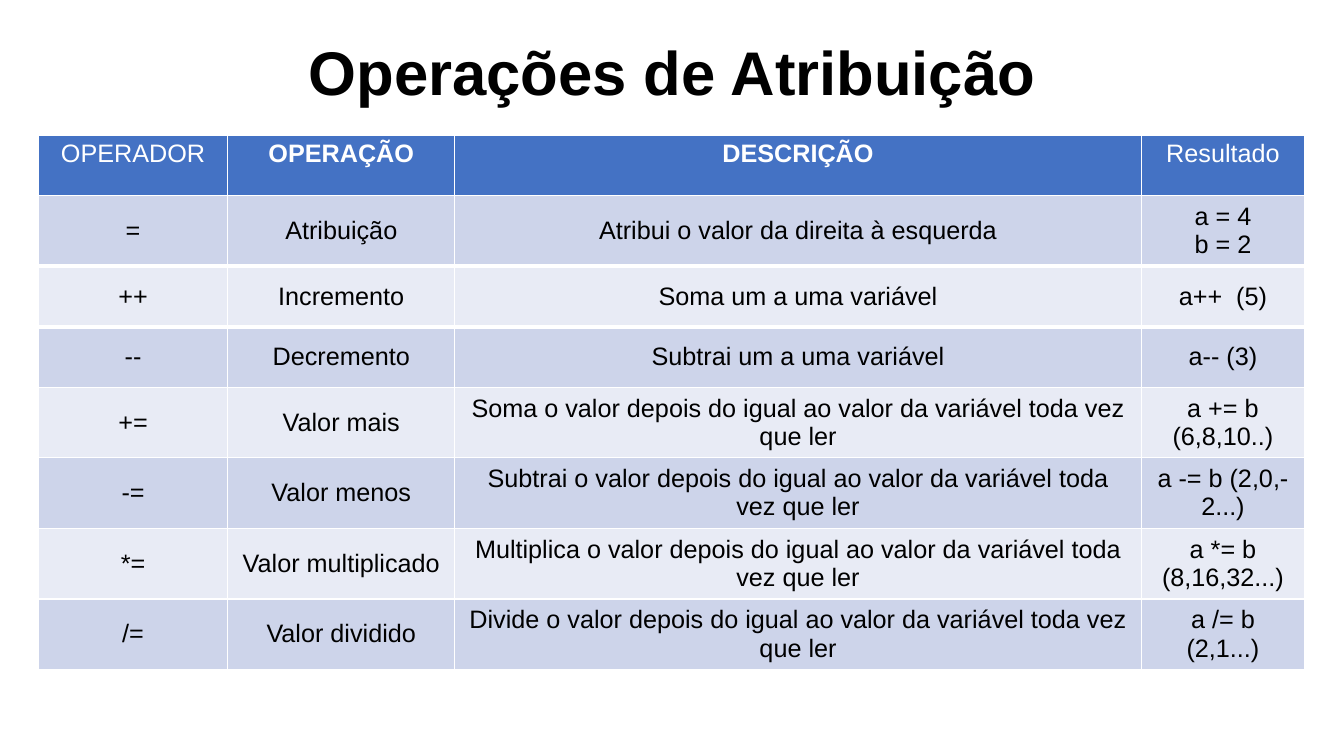
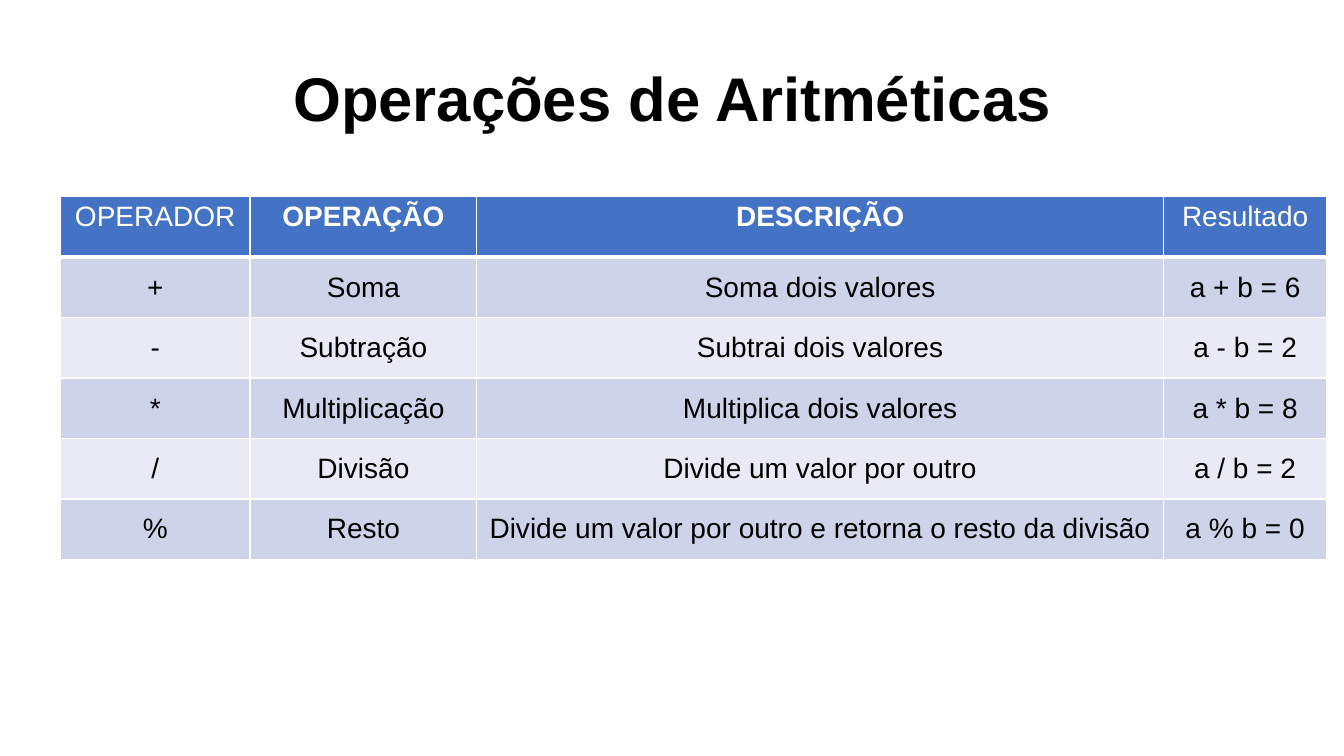
from dataclasses import dataclass

from lxml import etree
from pptx import Presentation
from pptx import util as u
from pptx.dml.color import RGBColor
from pptx.enum import text
from pptx.oxml import ns


@dataclass(frozen=True)
class Theme:
    font: str = "Arial"
    ink: str = "000000"
    white: str = "FFFFFF"
    header: str = "4472C4"
    bands: tuple = ("CDD4EA", "E8EBF5")
    title_size: int = 44
    thin: int = 1
    thick: int = 3


theme = Theme()
PX = u.Inches(1) // 100
COLUMNS = [188, 225, 681, 162]
ROW_HEIGHT = 60
HEADINGS = ["OPERADOR", "OPERAÇÃO", "DESCRIÇÃO", "Resultado"]
BOLD_HEADINGS = HEADINGS[1:3]

pages = [
    {
        "title": "Operações de Atribuição",
        "title_top": 2,
        "table_at": (38, 134),
        "size": 18,
        "thick_below": (1, 2),
        "rows": [
            ("=", "Atribuição", "Atribui o valor da direita à esquerda", "a = 4\nb = 2"),
            ("++", "Incremento", "Soma um a uma variável", "a++  (5)"),
            ("--", "Decremento", "Subtrai um a uma variável", "a-- (3)"),
            ("+=", "Valor mais", "Soma o valor depois do igual ao valor da variável toda vez que ler", "a += b (6,8,10..)"),
            ("-=", "Valor menos", "Subtrai o valor depois do igual ao valor da variável toda vez que ler", "a -= b (2,0,-2...)"),
            ("*=", "Valor multiplicado", "Multiplica o valor depois do igual ao valor da variável toda vez que ler", "a *= b (8,16,32...)"),
            ("/=", "Valor dividido", "Divide o valor depois do igual ao valor da variável toda vez que ler", "a /= b (2,1...)"),
        ],
    },
    {
        "title": "Operações de Aritméticas",
        "title_top": 28,
        "table_at": (60, 195),
        "size": 20,
        "thick_below": (0,),
        "rows": [
            ("+", "Soma", "Soma dois valores", "a + b = 6"),
            ("-", "Subtração", "Subtrai dois valores", "a - b = 2"),
            ("*", "Multiplicação", "Multiplica dois valores", "a * b = 8"),
            ("/", "Divisão", "Divide um valor por outro", "a / b = 2"),
            ("%", "Resto", "Divide um valor por outro e retorna o resto da divisão", "a % b = 0"),
        ],
    },
]


def write(frame, content, size, color, bold):
    frame.text = content
    font_format = {"name": theme.font, "size": u.Pt(size), "bold": bold}
    for paragraph in frame.paragraphs:
        paragraph.alignment = text.PP_ALIGN.CENTER
        for run in paragraph.runs:
            for name, value in font_format.items():
                setattr(run.font, name, value)
            run.font.color.rgb = RGBColor.from_string(color)


def add_borders(cell, widths):
    properties = cell._tc.get_or_add_tcPr()
    for side, width in widths.items():
        line = etree.SubElement(properties, ns.qn(f"a:ln{side}"), w=str(u.Pt(width)))
        fill = etree.SubElement(line, ns.qn("a:solidFill"))
        etree.SubElement(fill, ns.qn("a:srgbClr"), val=theme.white)


presentation = Presentation()
presentation.slide_width = 1333 * PX
presentation.slide_height = 750 * PX

for page in pages:
    slide = presentation.slides.add_slide(presentation.slide_layouts[6])

    title = slide.shapes.add_textbox(92 * PX, page["title_top"] * PX, 1150 * PX, 145 * PX)
    frame_format = {"word_wrap": True, "vertical_anchor": text.MSO_ANCHOR.MIDDLE}
    for name, value in frame_format.items():
        setattr(title.text_frame, name, value)
    write(title.text_frame, page["title"], theme.title_size, theme.ink, True)
    title.text_frame.paragraphs[0].line_spacing = 0.9

    rows = [HEADINGS, *page["rows"]]
    left, top = page["table_at"]
    table = slide.shapes.add_table(
        len(rows), len(COLUMNS), left * PX, top * PX,
        sum(COLUMNS) * PX, len(rows) * ROW_HEIGHT * PX,
    ).table
    for column, width in zip(table.columns, COLUMNS):
        column.width = width * PX

    for row_index, values in enumerate(rows):
        table.rows[row_index].height = ROW_HEIGHT * PX
        is_header = row_index == 0
        background = theme.header if is_header else theme.bands[(row_index - 1) % 2]
        above, below = (
            theme.thick if index in page["thick_below"] else theme.thin
            for index in (row_index - 1, row_index)
        )
        for column_index, value in enumerate(values):
            cell = table.cell(row_index, column_index)
            add_borders(cell, {"L": theme.thin, "R": theme.thin, "T": above, "B": below})
            cell.fill.solid()
            cell.fill.fore_color.rgb = RGBColor.from_string(background)
            cell.vertical_anchor = text.MSO_ANCHOR.TOP if is_header else text.MSO_ANCHOR.MIDDLE
            color = theme.white if is_header else theme.ink
            write(cell.text_frame, value, page["size"], color, is_header and value in BOLD_HEADINGS)

presentation.save("out.pptx")
